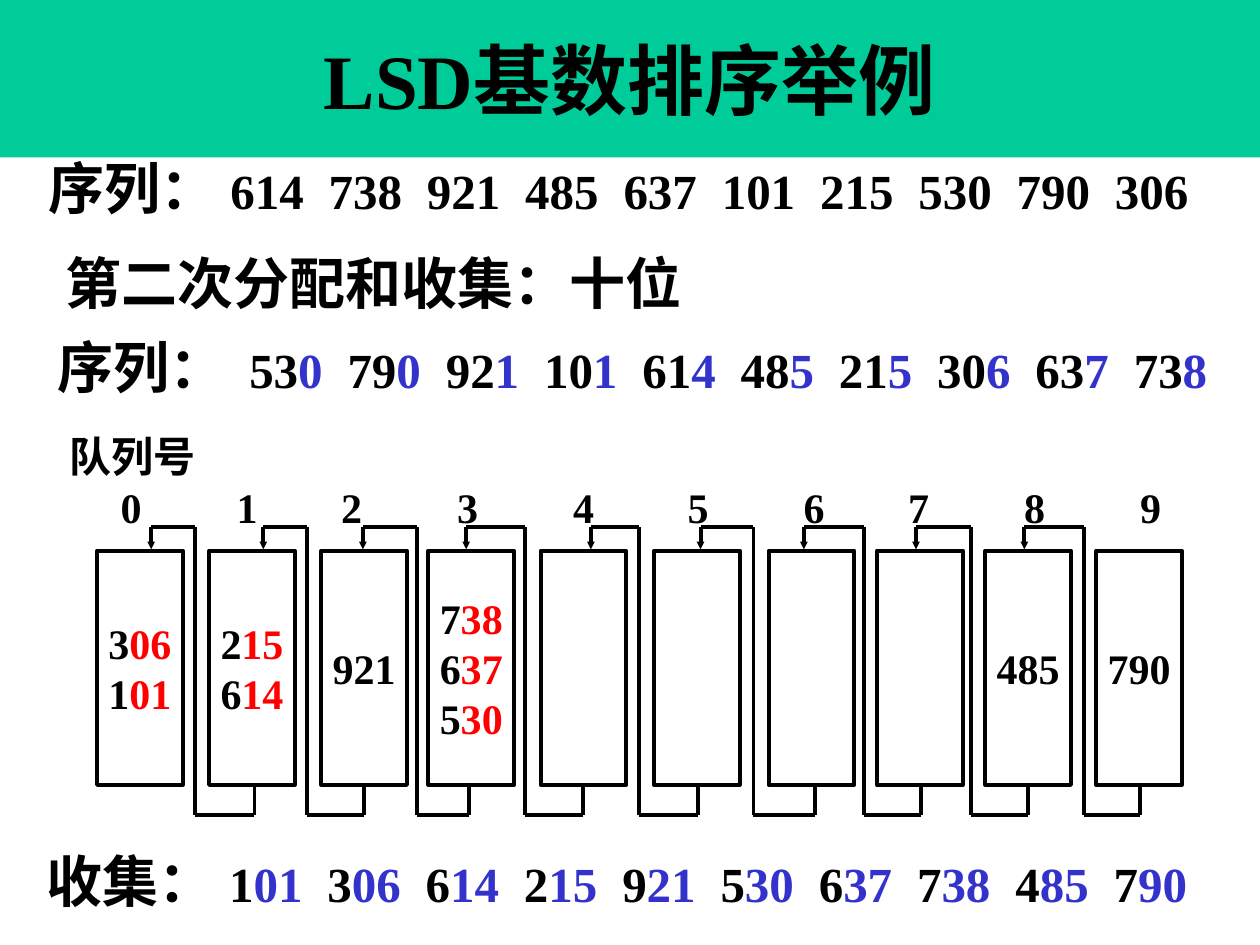
"""Build the slide on the second pass of an LSD radix sort."""
from itertools import pairwise

from lxml.etree import SubElement
from pptx import Presentation
from pptx.dml.color import RGBColor
from pptx.enum.shapes import MSO_CONNECTOR, MSO_SHAPE
from pptx.enum.text import MSO_ANCHOR, MSO_AUTO_SIZE, PP_ALIGN
from pptx.oxml.ns import qn
from pptx.util import Inches, Pt

BLACK = RGBColor(0x00, 0x00, 0x00)
GREEN = RGBColor(0x00, 0xCC, 0x99)
BLUE = RGBColor(0x33, 0x33, 0xCC)
RED = RGBColor(0xFF, 0x00, 0x00)
FONT = "Times New Roman"

TITLE = "LSD基数排序举例"
SUBTITLE = "第二次分配和收集：十位"
# label, numbers, leading black digits, box, first tab, line spacing
SEQUENCES = [
    ("序列：", "614 738 921 485 637 101 215 530 790 306", 3, (0.29, 1.23, 9.38, 0.59), 1.44, 0.9),
    ("序列：", "530 790 921 101 614 485 215 306 637 738", 2, (0.36, 2.65, 9.38, 0.59), 1.52, 0.9),
    ("收集：", "101 306 614 215 921 530 637 738 485 790", 1, (0.27, 6.67, 9.52, 0.63), 1.45, 1.0),
]
NUMBER_PITCH = 0.78

QUEUE_LABEL = "队列号"
QUEUE_TABS = [0.41, 1.33, 2.16, 3.08, 4.0, 4.91, 5.83, 6.66, 7.58, 8.5]
QUEUES = [["306", "101"], ["215", "614"], ["921"], ["738", "637", "530"],
          [], [], [], [], ["485"], ["790"]]
QUEUE_LEFTS = [0.77, 1.66, 2.55, 3.4, 4.29, 5.19, 6.1, 6.96, 7.82, 8.7]
QUEUE_TOP, QUEUE_W, QUEUE_H = 4.37, 0.68, 1.86
# x of the next queue's foot, of the channel between, of this queue's head
LINKS = [(2.02, 1.55, 1.2), (2.89, 2.44, 2.09), (3.72, 3.31, 2.88),
         (4.63, 4.17, 3.7), (5.54, 5.07, 4.69), (6.47, 5.98, 5.56),
         (7.31, 6.86, 6.38), (8.16, 7.71, 7.27), (9.05, 8.6, 8.13)]
LINK_TOP, LINK_BOTTOM = 4.18, 6.47


def add_run(p, text, size, color=BLACK):
    r = p.add_run()
    r.text = text
    r.font.name, r.font.size, r.font.bold = FONT, Pt(size), True
    r.font.color.rgb = color


def add_number(p, number, size, black, color, lead=""):
    add_run(p, lead + number[:black], size)
    if number[black:]:
        add_run(p, number[black:], size, color)


def add_text_box(slide, box):
    tf = slide.shapes.add_textbox(*map(Inches, box)).text_frame
    tf.word_wrap = True
    return tf


def set_tabs(p, stops):
    tabs = SubElement(p._p.get_or_add_pPr(), qn("a:tabLst"))
    for stop in stops:
        SubElement(tabs, qn("a:tab"), pos=str(Inches(stop)), algn="l")


def add_sequence(slide, label, numbers, black, box, first_tab, spacing):
    p = add_text_box(slide, box).paragraphs[0]
    numbers = numbers.split()
    set_tabs(p, [first_tab + i * NUMBER_PITCH for i in range(len(numbers))])
    p.line_spacing = spacing
    add_run(p, label, 32)
    for number in numbers:
        add_number(p, number, 28, black, BLUE, "\t")


def add_queue(slide, left, numbers):
    sp = slide.shapes.add_shape(
        MSO_SHAPE.RECTANGLE, *map(Inches, (left, QUEUE_TOP, QUEUE_W, QUEUE_H)))
    sp.shadow.inherit = False
    sp.fill.background()
    sp.line.color.rgb, sp.line.width = BLACK, Pt(2.25)
    tf = sp.text_frame
    tf.margin_left = tf.margin_right = tf.margin_top = tf.margin_bottom = 0
    tf.word_wrap, tf.vertical_anchor = False, MSO_ANCHOR.MIDDLE
    black = 1 if len(numbers) > 1 else 3
    for i, number in enumerate(numbers):
        p = tf.add_paragraph() if i else tf.paragraphs[0]
        p.alignment = PP_ALIGN.CENTER
        add_number(p, number, 24, black, RED)


def add_line(slide, start, end):
    line = slide.shapes.add_connector(
        MSO_CONNECTOR.STRAIGHT, *map(Inches, (*start, *end)))
    line.line.color.rgb, line.line.width = BLACK, Pt(2.25)
    SubElement(line._element.spPr, qn("a:effectLst"))
    return line


def add_link(slide, foot, channel, head):
    points = [(foot, QUEUE_TOP + QUEUE_H), (foot, LINK_BOTTOM), (channel, LINK_BOTTOM),
              (channel, LINK_TOP), (head, LINK_TOP), (head, QUEUE_TOP - 0.01)]
    for start, end in pairwise(points):
        line = add_line(slide, start, end)
    SubElement(line.line._get_or_add_ln(), qn("a:tailEnd"), type="triangle", w="sm", len="sm")


def main():
    prs = Presentation()
    prs.slide_width, prs.slide_height = Inches(10), Inches(7.5)
    slide = prs.slides.add_slide(prs.slide_layouts[5])

    title = slide.shapes.title
    title.left, title.top, title.width, title.height = map(Inches, (0, 0, 10, 1.25))
    title.fill.solid()
    title.fill.fore_color.rgb = GREEN
    tf = title.text_frame
    tf.auto_size, tf.vertical_anchor = MSO_AUTO_SIZE.NONE, MSO_ANCHOR.MIDDLE
    tf.paragraphs[0].alignment = PP_ALIGN.CENTER
    add_run(tf.paragraphs[0], TITLE, 44)

    for sequence in SEQUENCES:
        add_sequence(slide, *sequence)
    add_run(add_text_box(slide, (0.42, 1.92, 7.24, 0.63)).paragraphs[0], SUBTITLE, 32)

    tf = add_text_box(slide, (0.45, 3.37, 9.11, 0.91))
    add_run(tf.paragraphs[0], QUEUE_LABEL, 24)
    p = tf.add_paragraph()
    set_tabs(p, QUEUE_TABS)
    add_run(p, "".join(f"\t{i}" for i in range(len(QUEUES))), 24)

    for left, numbers in zip(QUEUE_LEFTS, QUEUES):
        add_queue(slide, left, numbers)
    for link in LINKS:
        add_link(slide, *link)
    prs.save("out.pptx")


if __name__ == "__main__":
    main()
